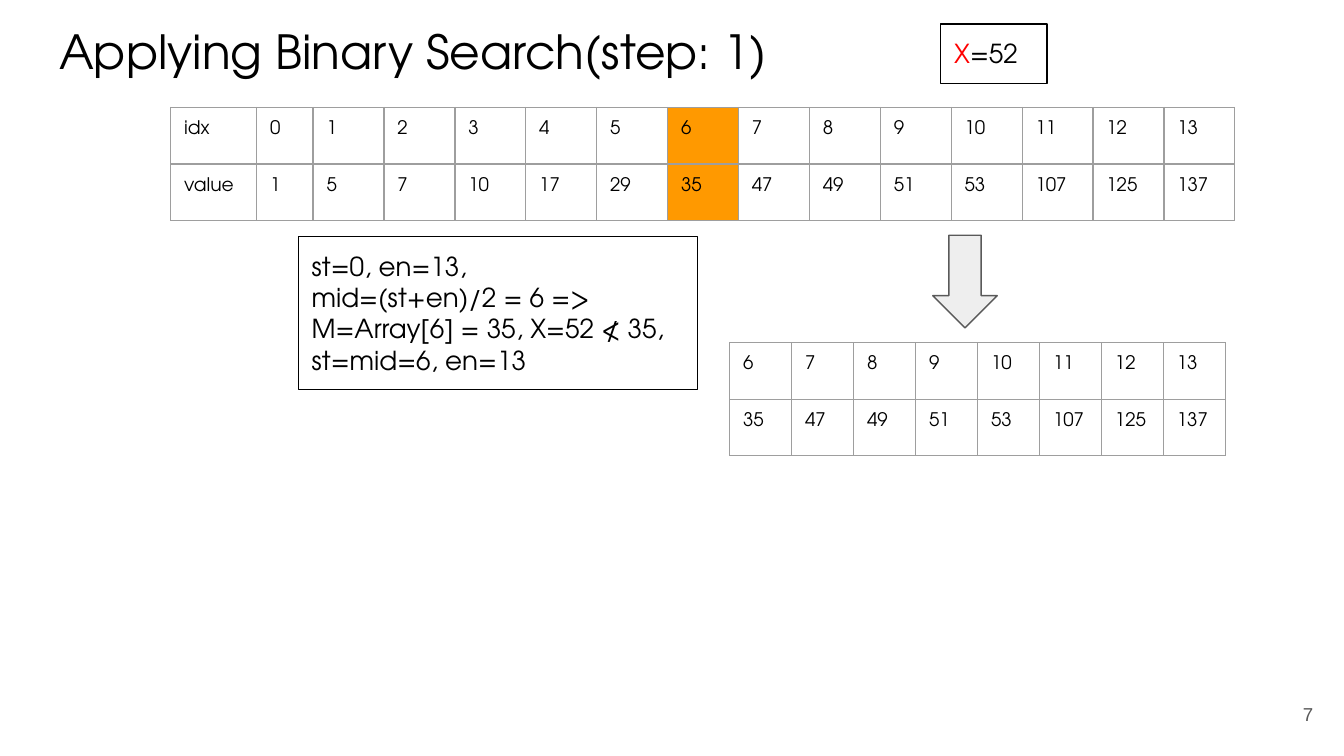
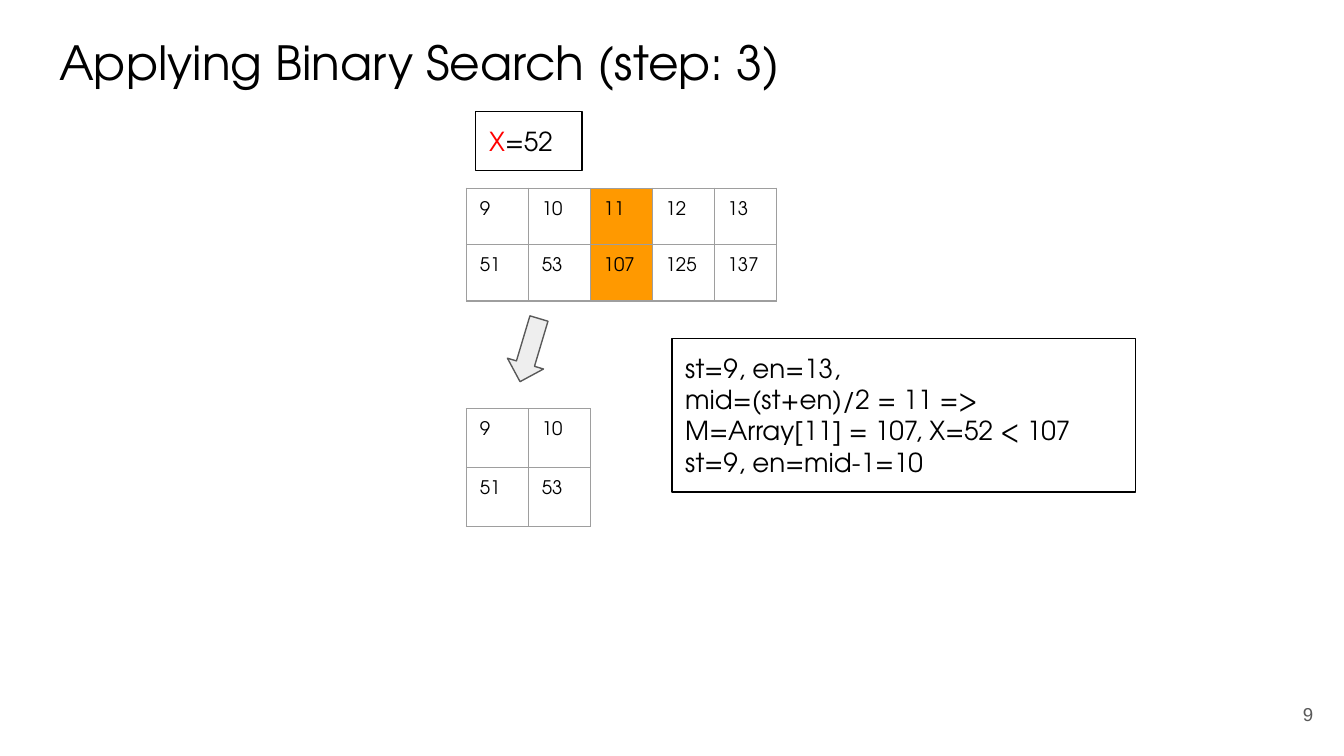
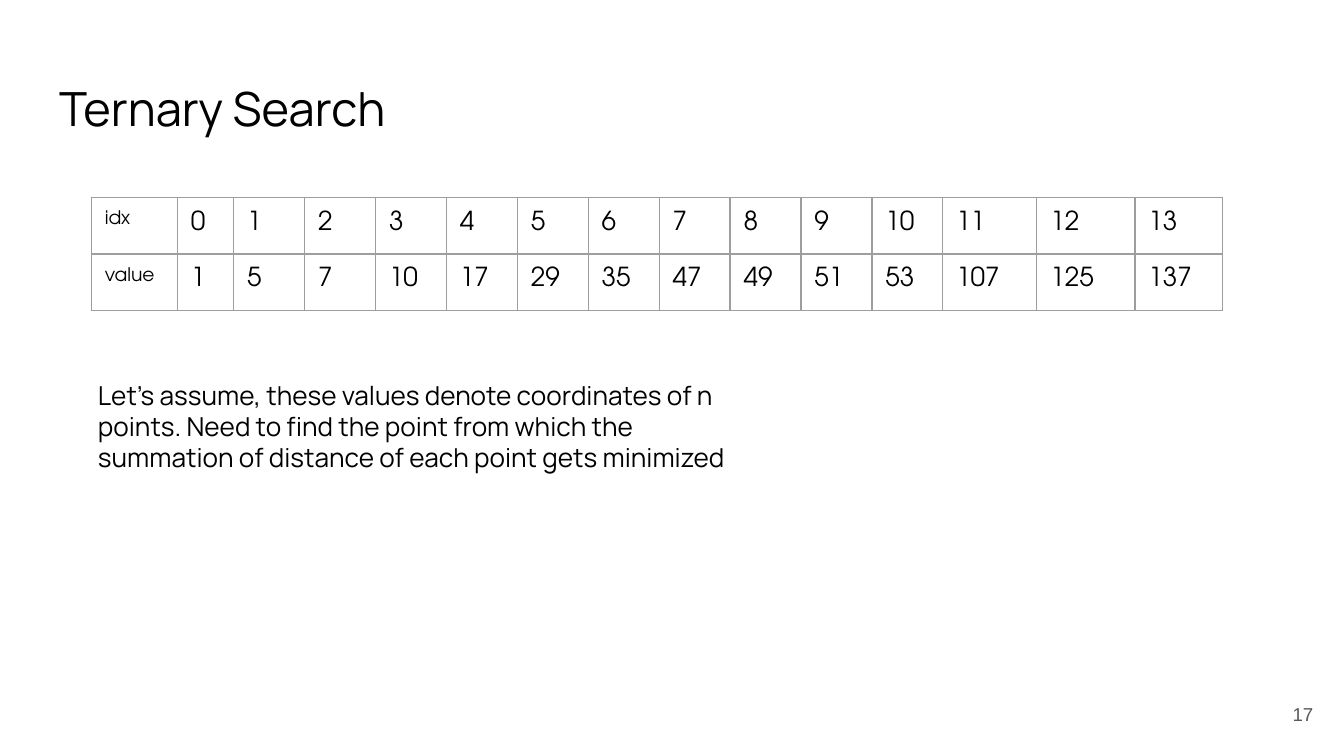
from dataclasses import dataclass

import pptx
import pptx.dml.color
import pptx.enum.shapes
import pptx.enum.text
import pptx.oxml
import pptx.oxml.ns
import pptx.util

Inches = pptx.util.Inches
Pt = pptx.util.Pt
PP_ALIGN = pptx.enum.text.PP_ALIGN
MSO_ANCHOR = pptx.enum.text.MSO_ANCHOR
MSO_AUTO_SIZE = pptx.enum.text.MSO_AUTO_SIZE
MSO_SHAPE = pptx.enum.shapes.MSO_SHAPE


@dataclass(frozen=True)
class Theme:
    ink: str = "000000"
    paper: str = "FFFFFF"
    target: str = "FF0000"
    middle: str = "FF9900"
    arrow: str = "EEEEEE"
    muted: str = "595959"
    grid: str = "9E9E9E"
    font: str = "TeX Gyre Adventor"
    plain_font: str = "Manrope"
    number_font: str = "Arial"
    title_size: float = 25.2
    body_size: float = 14
    small_size: float = 10
    line: float = 0.75
    inset: float = 0.1


THEME = Theme()
SLIDE_WIDTH = 10
SLIDE_HEIGHT = SLIDE_WIDTH * 9 / 16
SIDES = ("left", "right", "top", "bottom")

VALUES = [1, 5, 7, 10, 17, 29, 35, 47, 49, 51, 53, 107, 125, 137]
LABELS = ["idx", "value"]
LABEL_WIDTH, FIRST_WIDTH = 0.64, 0.42
WIDE = 6.86 / 13
NARROW = 3.69 / 8
TARGET = [[("X", THEME.target), ("=52", THEME.ink)]]

# Tables show VALUES[first:last + 1]; fills are keyed by column.
SLIDES = [
    {
        "title": "Applying Binary Search(step: 1)", "title_top": 0.07, "number": 7,
        "tables": [
            {"at": (1.27, 0.8), "first": 0, "last": 13, "labels": LABELS,
             "widths": [LABEL_WIDTH, FIRST_WIDTH] + [WIDE] * 13,
             "fills": {7: THEME.middle}},
            {"at": (5.43, 2.55), "first": 6, "last": 13, "widths": [NARROW] * 8,
             "fills": {0: THEME.paper}},
        ],
        "boxes": [
            {"at": (7, 0.18, 0.79, 0.44), "text": TARGET},
            {"at": (2.22, 1.76, 2.97, 1.14), "text": [
                "st=0, en=13,",
                "mid=(st+en)/2 = 6 =>",
                "M=Array[6] = 35, X=52 ≮ 35, st=mid=6, en=13",
            ]},
        ],
        "arrow": {"at": (6.94, 1.75, 0.48, 0.69), "rotation": 0},
    },
    {
        "title": "Applying Binary Search (step: 3)", "title_top": 0.15, "number": 9,
        "tables": [
            {"at": (3.47, 1.4), "first": 9, "last": 13, "widths": [NARROW] * 5,
             "fills": {0: THEME.paper, 1: THEME.paper, 2: THEME.middle}},
            {"at": (3.47, 3.04), "first": 9, "last": 10, "widths": [NARROW] * 2,
             "row_height": 0.44, "fills": {0: THEME.paper, 1: THEME.paper}},
        ],
        "boxes": [
            {"at": (5, 2.52, 3.45, 1.14), "text": [
                "st=9, en=13,",
                "mid=(st+en)/2 = 11 =>",
                "M=Array[11] = 107, X=52 < 107",
                "st=9, en=mid-1=10",
            ]},
            {"at": (3.54, 0.83, 0.79, 0.44), "text": TARGET},
        ],
        "arrow": {"at": (3.8, 2.36, 0.28, 0.49), "rotation": 16.7},
    },
    {
        "title": "Ternary Search", "title_top": 0.49, "number": 17,
        "title_font": THEME.plain_font,
        "tables": [
            {"at": (0.68, 1.47), "first": 0, "last": 13, "labels": LABELS,
             "widths": [LABEL_WIDTH, FIRST_WIDTH] + [WIDE] * 10 + [0.7, 0.73, 0.65],
             "value_size": THEME.body_size},
        ],
        "note": {"at": (0.63, 2.72, 5.08, 0.91), "text": [
            "Let's assume, these values denote coordinates of n points. Need to "
            "find the point from which the summation of distance of each point "
            "gets minimized",
        ]},
    },
]


def rgb(color):
    return pptx.dml.color.RGBColor.from_string(color)


def inches(lengths):
    return [Inches(length) for length in lengths]


def write(frame, paragraphs, *, font=THEME.font, size=THEME.body_size,
          color=THEME.ink, align=PP_ALIGN.LEFT):
    """Fill a text frame; a paragraph is a string or a list of (text, color)."""
    for index, content in enumerate(paragraphs):
        para = frame.paragraphs[0] if index == 0 else frame.add_paragraph()
        para.alignment = align
        spans = [(content, color)] if isinstance(content, str) else content
        for text, span_color in spans:
            span = para.add_run()
            span.text = text
            span.font.name = font
            span.font.size = Pt(size)
            span.font.color.rgb = rgb(span_color)


def set_margins(holder):
    for side in SIDES:
        setattr(holder, f"margin_{side}", Inches(THEME.inset))


def prepare_frame(shape, *, anchor=MSO_ANCHOR.TOP, fit=MSO_AUTO_SIZE.NONE):
    frame = shape.text_frame
    frame.word_wrap = True
    frame.auto_size = fit
    frame.vertical_anchor = anchor
    set_margins(frame)
    return frame


def add_title(slide, text, top, font):
    title = slide.shapes.title
    title.left, title.top, title.width, title.height = inches((0.34, top, 9.32, 0.63))
    write(prepare_frame(title), [text], font=font, size=THEME.title_size)


def add_number(slide, number):
    box = slide.shapes.add_textbox(*inches((9.27, 5.1, 0.6, 0.43)))
    write(prepare_frame(box, anchor=MSO_ANCHOR.MIDDLE), [str(number)],
          font=THEME.number_font, size=THEME.small_size, color=THEME.muted,
          align=PP_ALIGN.RIGHT)


def add_outlined(slide, kind, at, line):
    shape = slide.shapes.add_shape(kind, *inches(at))
    shape.shadow.inherit = False
    shape.fill.background()
    shape.line.color.rgb = rgb(line)
    shape.line.width = Pt(THEME.line)
    return shape


def add_box(slide, at, text):
    box = add_outlined(slide, MSO_SHAPE.RECTANGLE, at, THEME.ink)
    write(prepare_frame(box, fit=MSO_AUTO_SIZE.SHAPE_TO_FIT_TEXT), text)


def add_arrow(slide, at, rotation):
    arrow = add_outlined(slide, MSO_SHAPE.DOWN_ARROW, at, THEME.muted)
    arrow.fill.solid()
    arrow.fill.fore_color.rgb = rgb(THEME.arrow)
    arrow.rotation = rotation


def add_note(slide, at, text):
    box = slide.shapes.add_textbox(*inches(at))
    write(prepare_frame(box, fit=MSO_AUTO_SIZE.SHAPE_TO_FIT_TEXT), text,
          font=THEME.plain_font)


def style_cell(cell, fill):
    properties = cell._tc.get_or_add_tcPr()
    for edge in ("lnL", "lnR", "lnT", "lnB"):
        properties.append(pptx.oxml.parse_xml(
            f'<a:{edge} {pptx.oxml.ns.nsdecls("a")} w="{Pt(THEME.line)}"><a:solidFill>'
            f'<a:srgbClr val="{THEME.grid}"/></a:solidFill></a:{edge}>'))
    if fill:
        cell.fill.solid()
        cell.fill.fore_color.rgb = rgb(fill)
    else:
        cell.fill.background()
    set_margins(cell)


def add_array(slide, at, first, last, widths, labels=None, fills=None,
              row_height=0.42, value_size=THEME.small_size):
    """Draw a stretch of the array: indexes above, values below."""
    columns = list(enumerate(VALUES))[first:last + 1]
    if labels:
        columns.insert(0, labels)
    size = (sum(widths), row_height * 2)
    table = slide.shapes.add_table(2, len(columns), *inches(at + size)).table
    table.first_row = False
    table.horz_banding = False
    for row in table.rows:
        row.height = Inches(row_height)
    for number, (column, width) in enumerate(zip(columns, widths)):
        table.columns[number].width = Inches(width)
        text_size = THEME.small_size if column is labels else value_size
        for row_number, entry in enumerate(column):
            cell = table.cell(row_number, number)
            style_cell(cell, (fills or {}).get(number))
            write(cell.text_frame, [str(entry)], size=text_size)


def main():
    deck = pptx.Presentation()
    deck.slide_width = Inches(SLIDE_WIDTH)
    deck.slide_height = Inches(SLIDE_HEIGHT)
    title_only = deck.slide_layouts[5]
    for content in SLIDES:
        slide = deck.slides.add_slide(title_only)
        add_title(slide, content["title"], content["title_top"],
                  content.get("title_font", THEME.font))
        add_number(slide, content["number"])
        for table in content["tables"]:
            add_array(slide, **table)
        for box in content.get("boxes", []):
            add_box(slide, **box)
        if "arrow" in content:
            add_arrow(slide, **content["arrow"])
        if "note" in content:
            add_note(slide, **content["note"])
    deck.save("out.pptx")


if __name__ == "__main__":
    main()
